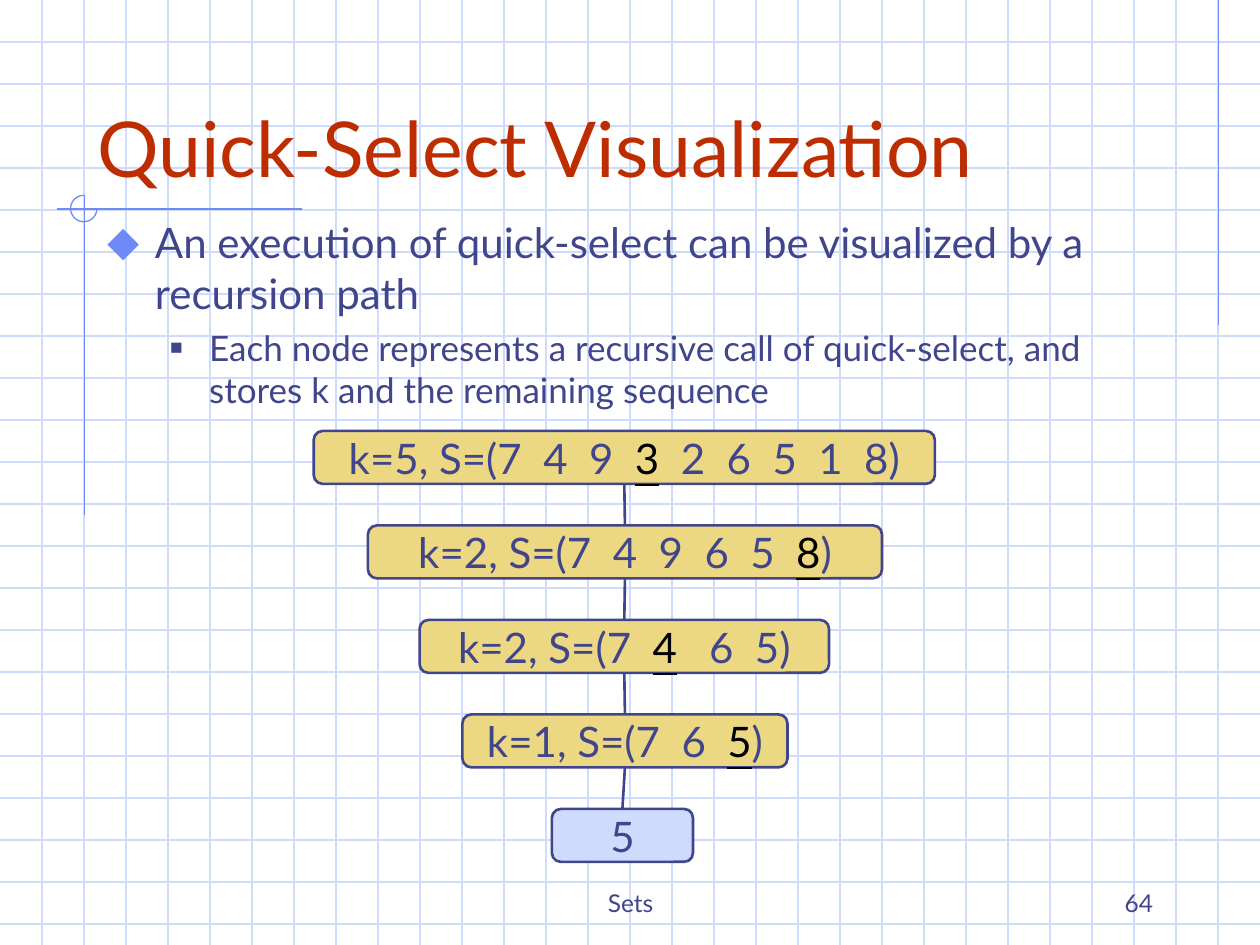
import dataclasses

import lxml.etree
import pptx
import pptx.dml.color
import pptx.enum.shapes
import pptx.enum.text
import pptx.oxml.ns
import pptx.util

Inches = pptx.util.Inches
Align = pptx.enum.text.PP_ALIGN
Anchor = pptx.enum.text.MSO_ANCHOR
Shape = pptx.enum.shapes.MSO_SHAPE
qn = pptx.oxml.ns.qn


@dataclasses.dataclass(frozen=True)
class Theme:
    font: str = "Lato"
    title: str = "BE2D00"
    ink: str = "40458C"
    pivot: str = "000000"
    accent: str = "6F89F7"
    pale: str = "CFDBFD"
    node: str = "ECD882"
    title_size: float = 44
    body_size: float = 24
    detail_size: float = 20
    footer_size: float = 14
    thin: float = 0.75
    thick: float = 1.5


@dataclasses.dataclass(frozen=True)
class Box:
    left: float
    top: float
    width: float
    height: float

    def lengths(self):
        return [Inches(side) for side in dataclasses.astuple(self)]


THEME = Theme()
GRID_STEP = 1 / 3
NODE_HEIGHT = 0.42
NODE_PITCH = 0.75
NODES = [
    (0, 4.93, THEME.node, ("k=5, S=(7  4  9  ", "3", "  2  6  5  1  8)")),
    (0.43, 4.08, THEME.node, ("k=2, S=(7  4  9  6  5  ", "8", ")")),
    (0.84, 3.25, THEME.node, ("k=2, S=(7  ", "4", "   6  5)")),
    (1.18, 2.58, THEME.node, ("k=1, S=(7  6  ", "5", ")")),
    (1.89, 1.12, THEME.pale, ("5",)),
]
BODY = [
    ("An execution of quick-select can be visualized by a recursion path",
     THEME.body_size, 0.38, -0.38, 0, "⬥", THEME.accent, 110),
    ("Each node represents a recursive call of quick-select, and stores k "
     "and the remaining sequence",
     THEME.detail_size, 0.81, -0.31, 5, "■", THEME.ink, 60),
]


def rgb(color):
    return pptx.dml.color.RGBColor.from_string(color)


def add_run(paragraph, text, size, color=THEME.ink, underline=None):
    run = paragraph.add_run()
    run.text = text
    run.font.name = THEME.font
    run.font.size = pptx.util.Pt(size)
    run.font.color.rgb = rgb(color)
    run.font.underline = underline


def style_line(shape, color, width):
    shape.line.color.rgb = rgb(color)
    shape.line.width = pptx.util.Pt(width)


def add_line(shapes, start, end, color, width):
    points = [Inches(value) for value in (*start, *end)]
    line = shapes.add_connector(pptx.enum.shapes.MSO_CONNECTOR.STRAIGHT, *points)
    style_line(line, color, width)
    lxml.etree.SubElement(line._element.spPr, qn("a:effectLst"))
    return line


def place(shape, box):
    shape.left, shape.top, shape.width, shape.height = box.lengths()


def prepare_frame(shape, anchor, wrap=True):
    frame = shape.text_frame
    frame.auto_size = pptx.enum.text.MSO_AUTO_SIZE.NONE
    frame.word_wrap = wrap
    frame.vertical_anchor = anchor
    return frame


def set_bullet(paragraph, indent, hanging, character, color, percent):
    properties = paragraph._p.get_or_add_pPr()
    properties.set("marL", str(Inches(indent)))
    properties.set("indent", str(Inches(hanging)))
    bullet_color = lxml.etree.SubElement(properties, qn("a:buClr"))
    lxml.etree.SubElement(bullet_color, qn("a:srgbClr"), val=color)
    lxml.etree.SubElement(properties, qn("a:buSzPct"), val=str(percent * 1000))
    lxml.etree.SubElement(properties, qn("a:buChar"), char=character)


def add_backdrop(slide, box):
    group = slide.shapes.add_group_shape()
    shapes = group.shapes
    right, bottom = box.left + box.width, box.top + box.height
    for index in range(1, int(box.height / GRID_STEP) + 1):
        y = box.top + index * GRID_STEP
        add_line(shapes, (box.left, y), (right, y), THEME.pale, THEME.thin)
    for index in range(1, round(box.width / GRID_STEP)):
        x = box.left + index * GRID_STEP
        add_line(shapes, (x, box.top), (x, bottom), THEME.pale, THEME.thin)

    for start, end in [((9.67, 0), (9.67, 2.58)),
                       ((2.4, 1.66), (0.45, 1.66)),
                       ((0.67, 1.55), (0.67, 4.09))]:
        add_line(shapes, (box.left + start[0], box.top + start[1]),
                 (box.left + end[0], box.top + end[1]), THEME.accent, THEME.thin)
    ring_box = Box(box.left + 0.56, box.top + 1.55, 0.21, 0.21)
    ring = shapes.add_shape(Shape.ARC, *ring_box.lengths())
    ring.adjustments[0] = 0
    ring.adjustments[1] = 162
    ring.shadow.inherit = False
    ring.fill.background()
    style_line(ring, THEME.accent, THEME.thin)
    slide.shapes._spTree.insert(2, group._element)


def add_title(slide, box):
    title = slide.shapes.title
    place(title, box)
    paragraph = prepare_frame(title, Anchor.BOTTOM).paragraphs[0]
    paragraph.alignment = Align.LEFT
    add_run(paragraph, "Quick-Select Visualization", THEME.title_size, THEME.title)


def add_body(slide, box):
    body = slide.placeholders[1]
    place(body, box)
    frame = prepare_frame(body, Anchor.TOP)
    for level, (text, size, indent, hanging, before, *bullet) in enumerate(BODY):
        paragraph = frame.add_paragraph() if level else frame.paragraphs[0]
        paragraph.level = level
        set_bullet(paragraph, indent, hanging, *bullet)
        paragraph.space_before = pptx.util.Pt(before)
        add_run(paragraph, text, size)


def add_node(slide, box, fill, parts):
    node = slide.shapes.add_shape(Shape.ROUNDED_RECTANGLE, *box.lengths())
    node.adjustments[0] = 0.167
    node.shadow.inherit = False
    node.fill.solid()
    node.fill.fore_color.rgb = rgb(fill)
    style_line(node, THEME.ink, THEME.thick)
    paragraph = prepare_frame(node, Anchor.MIDDLE, wrap=False).paragraphs[0]
    paragraph.alignment = Align.CENTER
    for index, text in enumerate(parts):
        if index == 1:
            add_run(paragraph, text, THEME.body_size, THEME.pivot, True)
        else:
            add_run(paragraph, text, THEME.body_size)
    return node


def add_recursion_path(slide, box):
    parent = None
    for index, (offset, width, fill, parts) in enumerate(NODES):
        node_box = Box(box.left + offset, box.top + index * NODE_PITCH,
                       width, NODE_HEIGHT)
        node = add_node(slide, node_box, fill, parts)
        if parent is not None:
            link = add_line(slide.shapes, (0, 0), (0, 0), THEME.ink, THEME.thick)
            link.begin_connect(parent, 2)
            link.end_connect(node, 0)
        parent = node


def add_footer(slide, box, text, alignment):
    footer = slide.shapes.add_textbox(*box.lengths())
    paragraph = prepare_frame(footer, Anchor.BOTTOM).paragraphs[0]
    paragraph.alignment = alignment
    add_run(paragraph, text, THEME.footer_size)


def main():
    presentation = pptx.Presentation()
    presentation.slide_width = Inches(10)
    presentation.slide_height = Inches(7.5)
    slide = presentation.slides.add_slide(presentation.slide_layouts[1])
    add_backdrop(slide, Box(0, 0, 10, 7.5))
    add_title(slide, Box(0.67, 0.33, 8.5, 1.25))
    add_body(slide, Box(0.75, 1.67, 8.58, 2.17))
    add_recursion_path(slide, Box(2.49, 3.42, 4.93, 3.42))
    add_footer(slide, Box(3.42, 6.83, 3.17, 0.5), "Sets", Align.CENTER)
    add_footer(slide, Box(7.17, 6.83, 2.08, 0.5), "64", Align.RIGHT)
    presentation.save("out.pptx")


if __name__ == "__main__":
    main()
